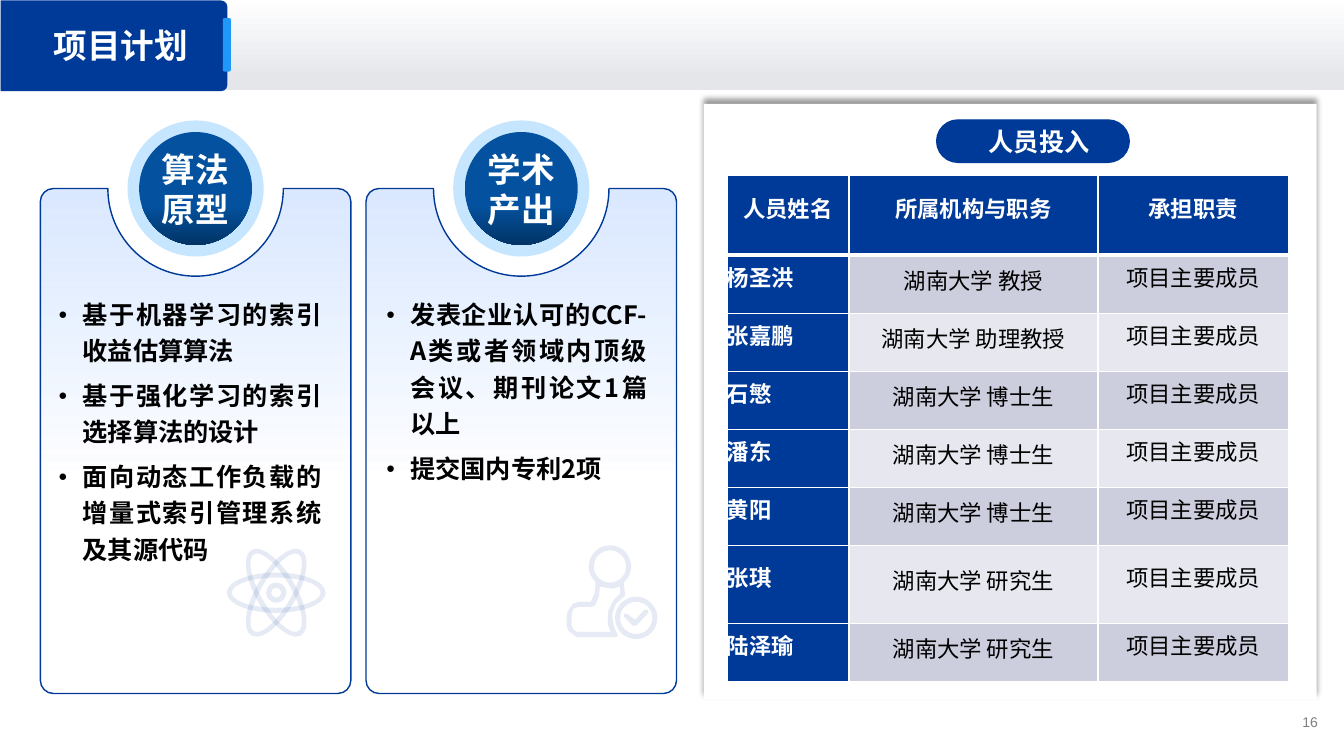
from itertools import pairwise
from math import atan2, cos, degrees, radians, sin, tan

from pptx import Presentation
from pptx.dml.color import RGBColor
from pptx.enum.shapes import MSO_SHAPE
from pptx.enum.text import MSO_ANCHOR, MSO_AUTO_SIZE, PP_ALIGN
from pptx.oxml import parse_xml
from pptx.oxml.ns import nsdecls, qn
from pptx.util import Inches, Pt

OVAL, RECTANGLE = MSO_SHAPE.OVAL, MSO_SHAPE.RECTANGLE
ROUNDED, TAB = MSO_SHAPE.ROUNDED_RECTANGLE, MSO_SHAPE.ROUND_2_SAME_RECTANGLE
LEFT, CENTER, RIGHT, JUSTIFY = PP_ALIGN.LEFT, PP_ALIGN.CENTER, PP_ALIGN.RIGHT, PP_ALIGN.JUSTIFY
TOP, MIDDLE = MSO_ANCHOR.TOP, MSO_ANCHOR.MIDDLE
NO_AUTOFIT = MSO_AUTO_SIZE.NONE

NAVY, WHITE, BLACK = "003A98", "FFFFFF", "000000"
FAINT_NAVY = [(0, NAVY, 10)]
CHINESE_FONT = "Noto Sans CJK SC"
CARD_TOP, CARD_BOTTOM, CARD_WIDTH = 1.87, 6.88, 3.08
CORNER, NOTCH = 0.13, 0.87

CARDS = [
    (0.4, "算法原型", (0.48, 2.86, 2.81, 3.68),
     ["基于机器学习的索引收益估算算法", "基于强化学习的索引选择算法的设计",
      "面向动态工作负载的增量式索引管理系统及其源代码"]),
    (3.63, "学术产出", (3.73, 2.86, 2.79, 2),
     ["发表企业认可的CCF-A类或者领域内顶级会议、期刊论文1篇以上", "提交国内专利2项"]),
]
HEADINGS = ["人员姓名", "所属机构与职务", "承担职责"]
MEMBERS = [("杨圣洪", "教授"), ("张嘉鹏", "助理教授"), ("石慜", "博士生"), ("潘东", "博士生"),
           ("黄阳", "博士生"), ("张琪", "研究生"), ("陆泽瑜", "研究生")]
COLUMN_WIDTHS = [1.21, 2.47, 1.89]
TABLE_HEIGHT, HEADING_HEIGHT, TALL_ROW = 5.02, 0.79, 0.77
PLAIN_ROW = (TABLE_HEIGHT - HEADING_HEIGHT - TALL_ROW) / 6
ROW_HEIGHTS = [HEADING_HEIGHT] + [PLAIN_ROW] * 5 + [TALL_ROW, PLAIN_ROW]


def color(value):
    return RGBColor.from_string(value)


def inches(*lengths):
    return [Inches(length) for length in lengths]


# Fills and outlines
def paint(shape, fill, line=None):
    """Fill with a colour, or with stops of position, colour and opacity in percent."""
    shape.shadow.inherit = False
    if isinstance(fill, list):
        colors = [f'<a:srgbClr val="{value}"><a:alpha val="{opacity * 1000}"/></a:srgbClr>'
                  for _, value, opacity in fill]
        stops = "".join(f'<a:gs pos="{stop[0] * 1000}">{xml}</a:gs>'
                        for stop, xml in zip(fill, colors))
        gradient = (f'<a:gradFill {nsdecls("a")}><a:gsLst>{stops}</a:gsLst>'
                    '<a:lin ang="5400000" scaled="0"/></a:gradFill>')
        solid = f'<a:solidFill {nsdecls("a")}>{colors[0]}</a:solidFill>'
        shape.fill.background()
        old_fill = shape._element.spPr.find(qn("a:noFill"))
        old_fill.getparent().replace(old_fill, parse_xml(gradient if len(fill) > 1 else solid))
    else:
        shape.fill.solid()
        shape.fill.fore_color.rgb = color(fill)
    if line:
        shape.line.color.rgb = color(line)
        shape.line.width = Pt(1)
    else:
        shape.line.fill.background()


def add_block(slide, kind, box, fill, line=None, adjustments=()):
    shape = slide.shapes.add_shape(kind, *inches(*box))
    paint(shape, fill, line)
    for index, value in enumerate(adjustments):
        shape.adjustments[index] = value
    return shape


# Text
def write(paragraph, text, size, value, bold=True, align=CENTER, spacing=None, font="Arial"):
    for name, setting in {"alignment": align, "line_spacing": spacing}.items():
        setattr(paragraph, name, setting)
    run = paragraph.add_run()
    run.text = text
    for name, setting in {"name": font, "size": Pt(size), "bold": bold}.items():
        setattr(run.font, name, setting)
    run.font.color.rgb = color(value)
    run._r.get_or_add_rPr().find(qn("a:latin")).addnext(
        parse_xml(f'<a:ea {nsdecls("a")} typeface="{CHINESE_FONT}"/>'))


def set_frame(frame, anchor):
    settings = {"word_wrap": True, "auto_size": NO_AUTOFIT, "vertical_anchor": anchor}
    for name, setting in settings.items():
        setattr(frame, name, setting)


def add_label(slide, box, text, size, value, anchor=TOP, **format_values):
    frame = slide.shapes.add_textbox(*inches(*box)).text_frame
    set_frame(frame, anchor)
    write(frame.paragraphs[0], text, size, value, **format_values)


def place(slide, placeholder, box, anchor):
    """Position a placeholder in front of what has been drawn so far."""
    for name, length in zip(("left", "top", "width", "height"), inches(*box)):
        setattr(placeholder, name, length)
    set_frame(placeholder.text_frame, anchor)
    slide.shapes._spTree.append(placeholder._element)
    return placeholder.text_frame


def fill_list(frame, items):
    for index, item in enumerate(items):
        paragraph = frame.add_paragraph() if index else frame.paragraphs[0]
        properties = paragraph._p.get_or_add_pPr()
        properties.set("marL", str(Inches(0.24)))
        properties.set("indent", str(-Inches(0.24)))
        for bullet in (f'buClr {nsdecls("a")}><a:srgbClr val="{BLACK}"/></a:buClr>',
                       f'buSzPct {nsdecls("a")} val="60000"/>',
                       f'buFont {nsdecls("a")} typeface="Arial"/>',
                       f'buChar {nsdecls("a")} char="●"/>'):
            properties.append(parse_xml("<a:" + bullet))
        paragraph.space_before = Pt(6 if index else 0)
        write(paragraph, item, 18, BLACK, align=JUSTIFY, spacing=Pt(25.9), font=CHINESE_FONT)


# Outlines: a contour is a list of steps, one point for a line and three for a curve
def arc(x, y, radius_x, radius_y, angles, turn=0):
    tilt = radians(turn)

    def point(across, down):
        return (x + across * cos(tilt) - down * sin(tilt), y + across * sin(tilt) + down * cos(tilt))

    def on_curve(angle, pull=0):
        return point(radius_x * (cos(angle) - pull * sin(angle)),
                     radius_y * (sin(angle) + pull * cos(angle)))

    angles = [radians(angle) for angle in angles]
    steps = [[on_curve(angles[0])]]
    for start, end in pairwise(angles):
        pull = 4 / 3 * tan((end - start) / 4)
        steps.append([on_curve(start, pull), on_curve(end, -pull), on_curve(end)])
    return steps


def ellipse(x, y, radius_x, radius_y, turn=0):
    """Closed ellipse split at its outermost points."""
    tilt = radians(turn)
    side = degrees(atan2(-radius_y * sin(tilt), radius_x * cos(tilt)))
    bottom = degrees(atan2(radius_y * cos(tilt), radius_x * sin(tilt)))
    return arc(x, y, radius_x, radius_y, [side, bottom, side + 180, bottom + 180, side + 360], turn)


def lines(*points):
    return [[point] for point in points]


def add_outline(slide, contours, fill, line=None):
    builder = slide.shapes.build_freeform(*inches(*contours[0][0][0]))
    for contour in contours:
        builder.move_to(*inches(*contour[0][0]))
        builder.add_line_segments([inches(*point) for step in contour[1:] for point in step])
    shape = builder.convert_to_shape()
    segments = iter(list(shape._element.spPr.iter(qn("a:lnTo"))))
    for step in [step for contour in contours for step in contour[1:]]:
        group = [next(segments) for _ in step]
        if len(group) == 3:
            curve = parse_xml(f'<a:cubicBezTo {nsdecls("a")}/>')
            group[0].addprevious(curve)
            for segment in group:
                curve.append(segment[0])
                segment.getparent().remove(segment)
    outline = shape._element.spPr.find(".//" + qn("a:path"))
    first, second = outline[:2]
    if first.tag == second.tag:
        outline.remove(first)
    outline.append(parse_xml(f'<a:close {nsdecls("a")}/>'))
    paint(shape, fill, line)


def add_ring(slide, x, y, radius_x, radius_y, turn=0):
    add_outline(slide, [ellipse(x, y, radius_x, radius_y, turn),
                        ellipse(x, y, radius_x - 0.05, radius_y - 0.05, turn)], FAINT_NAVY)


def add_atom(slide):
    add_ring(slide, 2.74, 5.88, 0.1, 0.1)
    for turn in (0, 60, 120):
        add_ring(slide, 2.74, 5.88, 0.49, 0.2, turn)


def add_approved_person(slide):
    body = lines((6.2, 5.91), (6.11, 5.99), (6.07, 6.1), (6.09, 6.22), (6.13, 6.31), (6.11, 6.32),
                 (5.72, 6.32), (5.64, 6.26), (5.62, 6.21), (5.62, 6.11), (5.63, 6.07), (5.68, 5.99),
                 (5.74, 5.97), (5.86, 5.97), (5.9, 5.88))
    inside = lines((5.95, 5.82), (5.94, 5.92), (5.9, 6.01), (5.87, 6.02), (5.74, 6.02),
                   (5.69, 6.04), (5.67, 6.09), (5.67, 6.21), (5.69, 6.25), (5.73, 6.27),
                   (6.06, 6.27), (6.03, 6.2), (6.03, 6.07), (6.08, 5.96), (6.15, 5.89),
                   (6.15, 5.82), (6.07, 5.84))
    head = arc(6.05, 5.62, 0.21, 0.21, [133, 180, 270, 360, 409])
    add_outline(slide, [head + body, ellipse(6.05, 5.62, 0.16, 0.16), inside], FAINT_NAVY)
    add_ring(slide, 6.31, 6.13, 0.21, 0.21)
    add_outline(slide, [lines((6.39, 6.05), (6.43, 6.05), (6.43, 6.08), (6.32, 6.2), (6.28, 6.21),
                              (6.19, 6.12), (6.19, 6.09), (6.22, 6.09), (6.3, 6.15))], FAINT_NAVY)


# Parts of the slide
def add_header(slide):
    add_block(slide, RECTANGLE, (0, -0.01, 13.33, 0.9), [(0, WHITE, 100), (89, "E4E6EA", 100)])
    tab = add_block(slide, TAB, (0.68, -0.67, 0.9, 2.25), NAVY, adjustments=(0.07, 0))
    tab.rotation = 90
    frame = place(slide, slide.shapes.title, (0.43, 0.2, 3.59, 0.5), MIDDLE)
    write(frame.paragraphs[0], "项目计划", 24, WHITE, align=LEFT)
    add_block(slide, ROUNDED, (2.21, 0.18, 0.08, 0.53), "1F98F9", adjustments=(0.21,))


def add_card(slide, placeholder, left, name, list_box, items):
    right, middle = left + CARD_WIDTH, left + CARD_WIDTH / 2
    outline = arc(middle, CARD_TOP, NOTCH, NOTCH, [180, 90, 0])
    for x, y, start in ((right - CORNER, CARD_TOP + CORNER, -90),
                        (right - CORNER, CARD_BOTTOM - CORNER, 0),
                        (left + CORNER, CARD_BOTTOM - CORNER, 90),
                        (left + CORNER, CARD_TOP + CORNER, 180)):
        outline += arc(x, y, CORNER, CORNER, [start, start + 90])
    add_outline(slide, [outline], [(0, "B7D3FF", 50), (56, "A5C8FF", 0)], NAVY)
    disc = [(0, "03519F", 100), (65, "03519F", 100), (100, "023466", 100)]
    for size, fill in ((1.35, "C6E5FE"), (1.12, disc)):
        add_block(slide, OVAL, (middle - size / 2, CARD_TOP - size / 2, size, size), fill)
    add_label(slide, (middle - 0.56, 1.43, 1.12, 0.91), name, 24, WHITE, spacing=Pt(28.6))
    fill_list(place(slide, placeholder, list_box, TOP), items)


def add_staff_panel(slide):
    panel = add_block(slide, RECTANGLE, (6.98, 1.03, 6.08, 5.91), WHITE)
    panel._element.spPr.find(qn("a:effectLst")).append(parse_xml(
        f'<a:outerShdw {nsdecls("a")} blurRad="{Pt(4)}" dist="{Pt(3)}" dir="16200000">'
        f'<a:srgbClr val="{BLACK}"><a:alpha val="40000"/></a:srgbClr></a:outerShdw>'))


def add_staff_pill(slide):
    pill = add_block(slide, ROUNDED, (9.29, 1.19, 1.91, 0.42), NAVY, NAVY, (0.5,))
    set_frame(pill.text_frame, MIDDLE)
    pill.text_frame.margin_left, pill.text_frame.margin_right = inches(0.12, 0)
    write(pill.text_frame.paragraphs[0], "人员投入", 18, WHITE, font="Montserrat")


def border_cell(cell, bottom):
    widths = {"lnL": 1, "lnR": 1, "lnT": 1, "lnB": bottom}
    for index, (side, width) in enumerate(widths.items()):
        cell._tc.get_or_add_tcPr().insert(index, parse_xml(
            f'<a:{side} {nsdecls("a")} w="{Pt(width)}"><a:solidFill><a:srgbClr val="{WHITE}"/>'
            f'</a:solidFill></a:{side}>'))


def add_staff_table(slide):
    rows = [HEADINGS] + [(name, f"湖南大学 {post}", "项目主要成员") for name, post in MEMBERS]
    box = inches(7.21, 1.74, sum(COLUMN_WIDTHS), TABLE_HEIGHT)
    table = slide.shapes.add_table(len(rows), len(HEADINGS), *box).table
    for column, width in zip(table.columns, COLUMN_WIDTHS):
        column.width = Inches(width)
    for row_index, (row, height) in enumerate(zip(rows, ROW_HEIGHTS)):
        table.rows[row_index].height = Inches(height)
        for column_index, text in enumerate(row):
            cell = table.cell(row_index, column_index)
            for side in ("left", "top", "right", "bottom"):
                setattr(cell, f"margin_{side}", 0)
            cell.vertical_anchor = MIDDLE
            strong = row_index == 0 or column_index == 0
            band = "CCCEDD" if row_index % 2 else "E7E8EF"
            cell.fill.solid()
            cell.fill.fore_color.rgb = color(NAVY if strong else band)
            if row_index == 0:
                border_cell(cell, 3)
            write(cell.text_frame.paragraphs[0], text, 16, WHITE if strong else BLACK, strong,
                  JUSTIFY if row_index and column_index == 0 else CENTER,
                  Pt(17 if row_index and column_index == 1 else 12))


def main():
    presentation = Presentation()
    presentation.slide_width, presentation.slide_height = inches(13.33, 7.5)
    slide = presentation.slides.add_slide(presentation.slide_layouts[3])
    add_staff_panel(slide)
    add_header(slide)
    for index, card in reversed(list(enumerate(CARDS, 1))):
        add_card(slide, slide.placeholders[index], *card)
    add_atom(slide)
    add_approved_person(slide)
    add_staff_table(slide)
    add_staff_pill(slide)
    add_label(slide, (10.26, 7.04, 2.91, 0.24), "16", 10, "808080", MIDDLE, bold=False, align=RIGHT)
    presentation.save("out.pptx")


if __name__ == "__main__":
    main()
